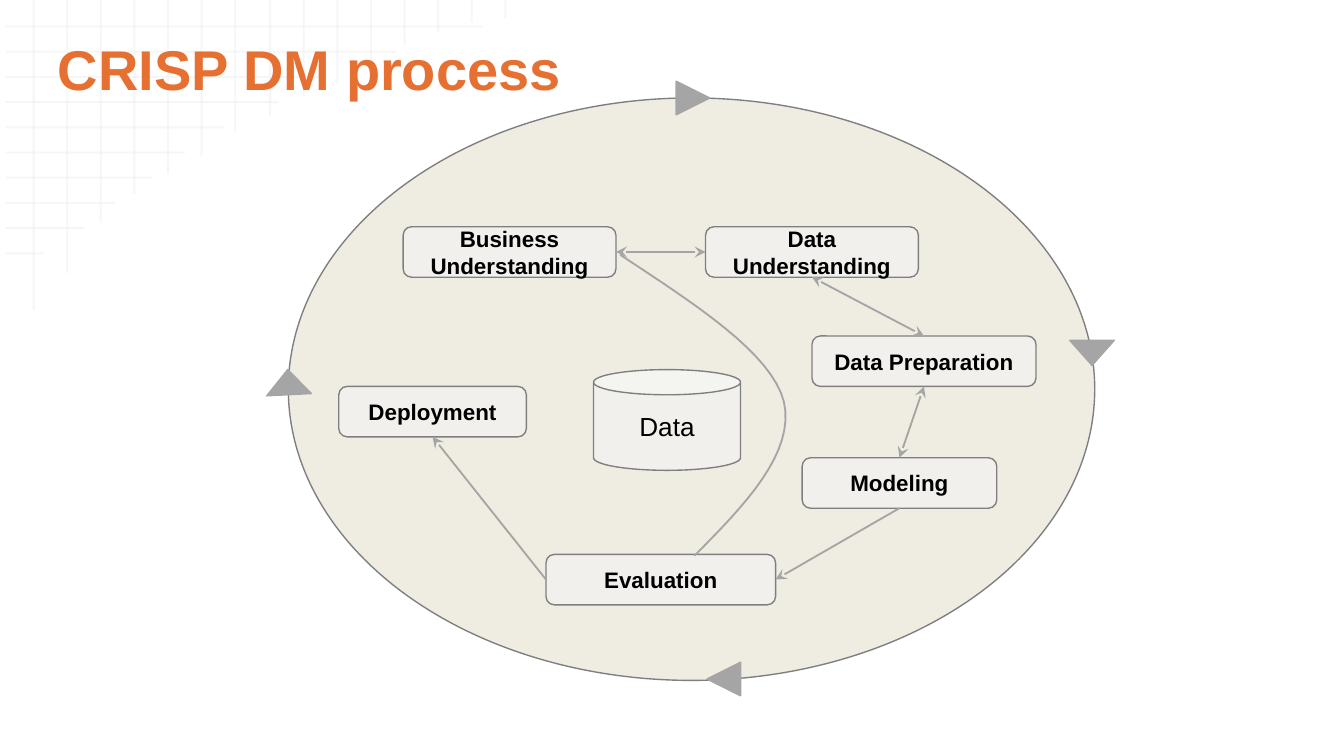
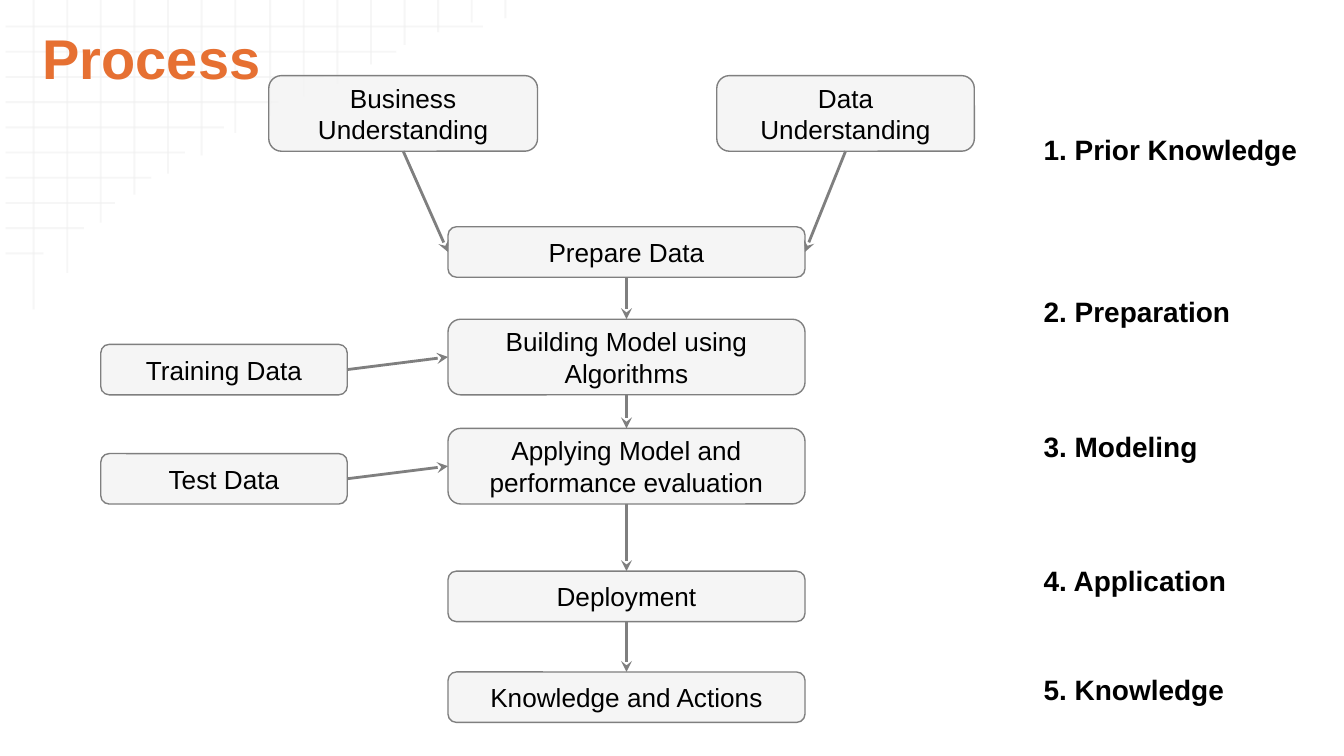
from lxml import etree
from pptx import Presentation
from pptx.dml.color import RGBColor
from pptx.enum.shapes import MSO_CONNECTOR, MSO_SHAPE
from pptx.enum.text import MSO_ANCHOR, PP_ALIGN
from pptx.oxml.ns import qn
from pptx.util import Pt

PX = 9525  # 96 px to the inch
ROUND, CAN, OVAL, TRI = (MSO_SHAPE.ROUNDED_RECTANGLE, MSO_SHAPE.CAN,
                         MSO_SHAPE.OVAL, MSO_SHAPE.ISOSCELES_TRIANGLE)
STRAIGHT = MSO_CONNECTOR.STRAIGHT
TOP, MIDDLE = MSO_ANCHOR.TOP, MSO_ANCHOR.MIDDLE
LEFT, CENTER = PP_ALIGN.LEFT, PP_ALIGN.CENTER
SITE = {"top": 0, "left": 1, "bottom": 2, "right": 3}

HEX = {"title": "E67032", "text": "000000", "grid": "EFEFEF", "box": "F2F2F2",
       "edge": "7F7F7F", "gray": "A5A5A5", "oval": "EFEDE2"}
RGB = {name: RGBColor.from_string(code) for name, code in HEX.items()}

STEP = {"size": Pt(12), "bold": True, "color": "text"}
NODE = {"size": Pt(14), "bold": False, "color": "text"}
PHASE = {"size": Pt(15), "bold": True, "color": "text"}
TITLE = {"size": Pt(30), "bold": True, "color": "title"}


def put(slide, kind, at, text="", form=NODE, fill="box", edge="edge", alpha=None):
    """Add a preset shape, or a text box if kind is None."""
    at = [n * PX for n in at]
    if kind is None:
        shape = slide.shapes.add_textbox(*at)
    else:
        shape = slide.shapes.add_shape(kind, *at)
        shape.shadow.inherit = False
        shape.fill.solid()
        shape.fill.fore_color.rgb = RGB[fill]
        shape.line.color.rgb = RGB[edge]
        shape.line.width = Pt(0.75)
        if alpha:
            tone = shape._element.spPr.find(qn("a:solidFill"))[0]
            etree.SubElement(tone, qn("a:alpha"), val=str(alpha * 1000))
    if text:
        frame = shape.text_frame
        frame.text = text
        frame.word_wrap = True
        frame.vertical_anchor = MIDDLE if kind or form is TITLE else TOP
        if form is TITLE:
            frame.margin_top = frame.margin_bottom = Pt(7.2)
        for para in frame.paragraphs:
            para.alignment = CENTER if kind else LEFT
            for run in para.runs:
                run.font.name = "Arial"
                run.font.color.rgb = RGB[form["color"]]
                for key in ("size", "bold"):
                    setattr(run.font, key, form[key])
    return shape


def link(slide, start, end, color, width, ends=(), alpha=None):
    """Join two (x, y) points, or two (shape, side) pairs."""
    glued = isinstance(start[1], str)
    spots = (0, 0, 0, 0) if glued else [n * PX for n in (*start, *end)]
    line = slide.shapes.add_connector(STRAIGHT, *spots)
    if glued:
        line.begin_connect(start[0], SITE[start[1]])
        line.end_connect(end[0], SITE[end[1]])
    line.line.color.rgb = RGB[color]
    line.line.width = Pt(width)
    props = line._element.spPr
    stroke = props.find(qn("a:ln"))
    if alpha:
        tone = stroke.find(qn("a:solidFill"))[0]
        etree.SubElement(tone, qn("a:alpha"), val=str(alpha * 1000))
    for tag in ends:
        etree.SubElement(stroke, qn("a:" + tag), type="stealth")
    etree.SubElement(props, qn("a:effectLst"))


ONE, BOTH = ("tailEnd",), ("headEnd", "tailEnd")

deck = Presentation()
deck.slide_width, deck.slide_height = 960 * PX, 540 * PX
blank = deck.slide_layouts[6]
crisp, flow = [deck.slides.add_slide(blank) for _ in range(2)]

# Fading grid in the top left corner
ROWS = [345, 283, 231, 199, 160, 132, 108, 82, 60, 31]
COLS = [221, 195, 159, 139, 124, 111, 95, 83, 69, 60, 46, 32, 23, 16, 13]
for slide in (crisp, flow):
    for i, reach in enumerate(ROWS, 1):
        y = 1 + 18 * i
        link(slide, (4, y), (reach, y), "grid", 1, alpha=54)
    for i, reach in enumerate(COLS, 1):
        x = round(24.07 * i)
        link(slide, (x, reach), (x, 0), "grid", 1, alpha=54)

# Slide 1: the cycle
put(crisp, OVAL, (206, 70, 576, 416), fill="oval")

STEPS = {
    "business": (288, 162, 152, "Business\nUnderstanding"),
    "data": (504, 162, 152, "Data Understanding"),
    "prep": (580, 240, 160, "Data Preparation"),
    "model": (573, 327, 139, "Modeling"),
    "deploy": (242, 276, 134, "Deployment"),
    "eval": (390, 396, 164, "Evaluation"),
}
step = {}
for name, (x, y, w, text) in STEPS.items():
    step[name] = put(crisp, ROUND, (x, y, w, 36), text, STEP, alpha=70)
put(crisp, CAN, (424, 264, 105, 72), "Data", alpha=70)

for a, out, b, into, ends in [
    ("business", "right", "data", "left", BOTH),
    ("data", "bottom", "prep", "top", BOTH),
    ("prep", "bottom", "model", "top", BOTH),
    ("model", "bottom", "eval", "right", ONE),
    ("eval", "left", "deploy", "bottom", ONE),
]:
    link(crisp, (step[a], out), (step[b], into), "gray", 1, ends)

# Curve from Evaluation back to Business Understanding
BENDS = [[(496, 397), (533, 360), (568, 323), (560, 287)],
         [(560, 287), (551, 252), (496, 217), (443, 182)]]
PARTS = 16
spots = []
for bend in BENDS:
    for i in range(1, PARTS + 1):
        t = i / PARTS
        parts = ((1 - t) ** 3, 3 * t * (1 - t) ** 2, 3 * t * t * (1 - t), t ** 3)
        spots.append([PX * sum(k * p[axis] for k, p in zip(parts, bend))
                      for axis in (0, 1)])
pen = crisp.shapes.build_freeform(*[n * PX for n in BENDS[0][0]])
pen.add_line_segments(spots, close=False)
curve = pen.convert_to_shape()
curve.shadow.inherit = False
curve.fill.background()
curve.line.color.rgb = RGB["gray"]
curve.line.width = Pt(1)

for at, turn in [((483, 58, 24, 24), 90), ((764, 243, 32, 18), 180),
                 ((505, 473, 24, 24), 270), ((190, 264, 32, 18), 357.1)]:
    put(crisp, TRI, at, fill="gray", edge="gray").rotation = turn

put(crisp, None, (32, 18, 864, 62), "CRISP DM process", TITLE)

# Slide 2: the flow
NODES = {
    "business": (192, 54, 192, 54, "Business\nUnderstanding"),
    "data": (512, 54, 184, 54, "Data Understanding"),
    "prep": (320, 162, 255, 36, "Prepare Data"),
    "build": (320, 228, 255, 54, "Building Model using Algorithms"),
    "apply": (320, 306, 255, 54, "Applying Model and performance evaluation"),
    "deploy": (320, 408, 255, 36, "Deployment"),
    "know": (320, 480, 255, 36, "Knowledge and Actions"),
    "train": (72, 246, 176, 36, "Training Data"),
    "test": (72, 324, 176, 36, "Test Data"),
}
node = {}
for name, (*at, text) in NODES.items():
    node[name] = put(flow, ROUND, at, text, alpha=70)

chain = ["prep", "build", "apply", "deploy", "know"]
links = [(a, "bottom", b, "top") for a, b in zip(chain, chain[1:])]
links += [("business", "bottom", "prep", "left"),
          ("data", "bottom", "prep", "right"),
          ("train", "right", "build", "left"),
          ("test", "right", "apply", "left")]
for a, out, b, into in links:
    link(flow, (node[a], out), (node[b], into), "edge", 1.5, ONE)

PHASES = [(90, 202, "Prior Knowledge"), (206, 154, "Preparation"),
          (302, 135, "Modeling"), (398, 152, "Application"),
          (476, 150, "Knowledge")]
for i, (y, w, text) in enumerate(PHASES, 1):
    put(flow, None, (736, y, w, 26), f"{i}. {text}", PHASE)

put(flow, None, (21, 10, 864, 62), "Process", TITLE)

deck.save("out.pptx")
